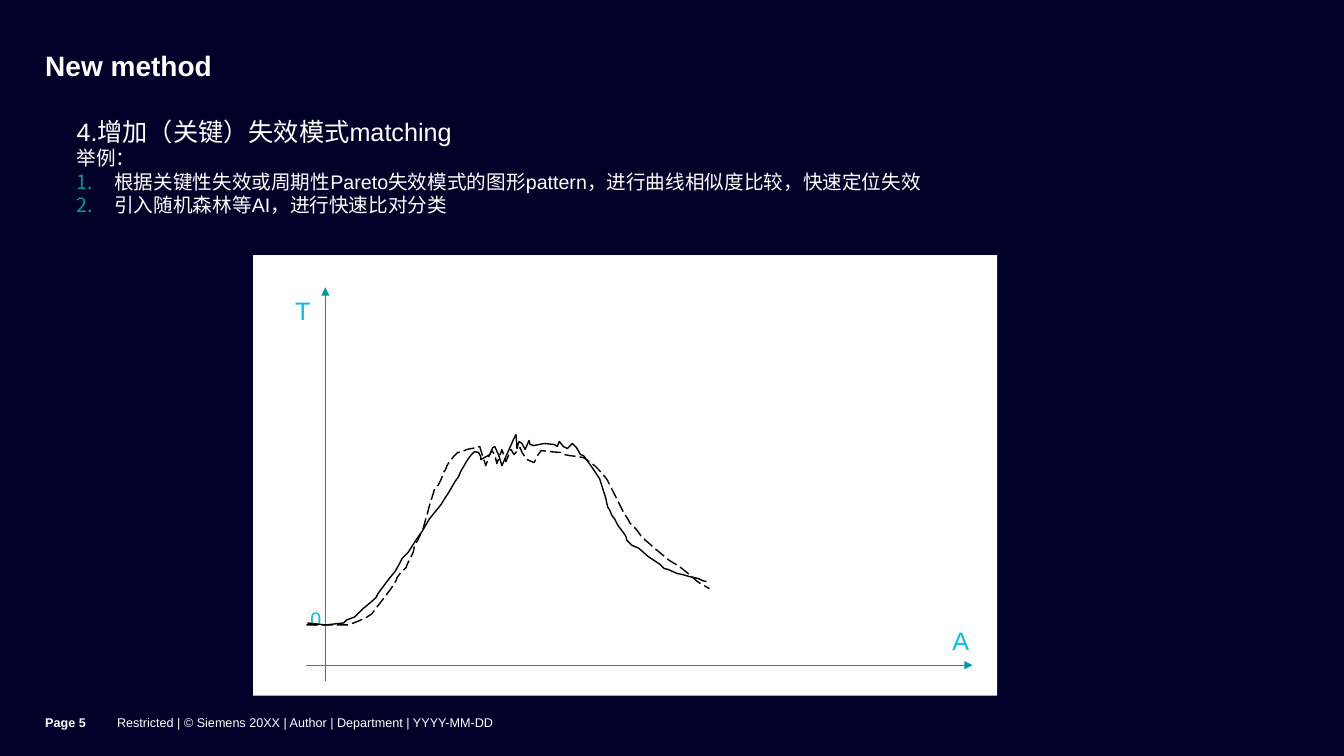
from dataclasses import dataclass

from lxml.etree import SubElement
from pptx import Presentation
from pptx.dml.color import RGBColor as RGB
from pptx.enum.dml import MSO_LINE as Dash
from pptx.enum.shapes import MSO_CONNECTOR as Conn, MSO_SHAPE as Shape
from pptx.enum.text import MSO_ANCHOR as Anchor
from pptx.oxml.ns import qn
from pptx.util import Cm, Pt


@dataclass(frozen=True)
class Theme:
    font: str = "Arial"
    night: str = "000028"
    white: str = "FFFFFF"
    black: str = "000000"
    petrol: str = "009999"
    cyan: str = "00BEDC"
    title: int = 20
    head: int = 18
    body: int = 14
    foot: int = 9
    axis_width: float = 0.75
    curve_width: float = 1


# Curve points in hundredths of an inch
CURVE_UNIT = Cm(0.0254)
MEASURED = [
    (305, 618), (323, 619.5), (341, 618), (344, 615), (347, 614), (352, 612), (360, 604),
    (365, 600), (373, 593), (375, 589), (378, 585), (387, 573), (392, 567),
    (396, 560), (399, 554), (405, 548), (414, 534), (419, 527), (426, 515),
    (430, 510), (435, 504), (438, 500), (441, 495), (445, 489), (452, 477),
    (455, 473), (457, 468), (464, 456), (467, 452), (471, 448), (475, 449),
    (477, 453), (477, 456), (486, 451), (489, 444), (491, 443), (495, 452),
    (498, 462), (510, 435), (512, 431), (513, 445), (515, 438), (518, 440),
    (521, 446), (525, 437), (526, 441), (530, 442), (540, 440), (550, 441),
    (553, 443), (555, 438), (559, 443), (563, 445), (568, 440), (572, 444),
    (576, 451), (579, 452), (587, 463), (595, 475), (601, 494), (603, 503), (605, 506),
    (607, 511), (610, 515), (613, 521), (619, 529), (621, 532), (622, 536),
    (627, 541), (634, 544), (643, 552), (655, 560), (659, 564), (663, 565),
    (672, 569), (677, 570), (684, 572), (693, 574), (697, 576), (701, 577),
]
PATTERN = [
    (304, 620.5), (345, 620), (351, 618), (356, 616), (363, 613), (369, 609), (375, 601),
    (382, 592), (388, 584), (393, 576), (394, 573), (397, 569), (403, 563),
    (404, 560), (410, 548), (411, 543), (416, 533), (418, 528), (420, 524),
    (423, 513), (424, 510), (426, 502), (427, 499), (431, 486), (435, 481),
    (438, 475), (440, 469), (442, 466), (444, 461), (450, 453), (454, 449),
    (459, 448), (463, 446), (473, 444), (476, 443), (479, 453), (482, 462),
    (485, 453), (488, 447), (491, 451), (493, 460), (497, 449), (498, 446), (501, 455),
    (502, 458), (507, 446), (510, 451), (516, 444), (518, 449), (523, 456),
    (530, 459), (532, 455), (534, 451), (537, 447), (544, 448), (557, 449),
    (560, 451), (565, 452), (573, 453), (579, 454), (590, 462), (594, 466),
    (601, 474), (603, 477), (608, 487), (612, 495), (617, 505), (619, 509),
    (623, 515), (625, 519), (632, 526), (637, 533), (645, 540), (648, 543),
    (652, 546), (658, 551), (664, 556), (674, 562), (684, 570), (692, 577),
    (695, 579), (704, 584),
]


class Board:
    """Draws on one slide in one theme; positions and sizes are in centimetres."""

    def __init__(self, slide, theme):
        self.slide, self.theme = slide, theme
        fill = slide.background.fill
        fill.solid()
        fill.fore_color.rgb = RGB.from_string(theme.night)

    def text_box(self, left, top, width, height, right=0, bottom=0, anchor=Anchor.TOP):
        sp = self.slide.shapes.add_textbox(Cm(left), Cm(top), Cm(width), Cm(height))
        tf = sp.text_frame
        tf.word_wrap = True
        tf.vertical_anchor = anchor
        tf.margin_left = tf.margin_top = 0
        tf.margin_right, tf.margin_bottom = Cm(right), Cm(bottom)
        return tf

    def add_text(self, tf, text, size, color=None, bold=False, spacing=None, numbered=False):
        """Fill the empty first paragraph, or add one after the last."""
        p = tf.paragraphs[-1]
        if p.runs:
            p = tf.add_paragraph()
        if spacing:
            p.line_spacing = spacing
        if numbered:
            self.number(p)
        r = p.add_run()
        r.text = text
        r.font.name, r.font.size, r.font.bold = self.theme.font, Pt(size), bold
        r.font.color.rgb = RGB.from_string(color or self.theme.white)

    def number(self, p):
        indent = Cm(0.95)
        pPr = p._p.get_or_add_pPr()
        pPr.set("marL", str(indent))
        pPr.set("indent", str(-indent))
        color = SubElement(pPr, qn("a:buClr"))
        SubElement(color, qn("a:srgbClr"), val=self.theme.petrol)
        SubElement(pPr, qn("a:buAutoNum"), type="arabicPeriod")

    def panel(self, left, top, width, height):
        sp = self.slide.shapes.add_shape(
            Shape.RECTANGLE, Cm(left), Cm(top), Cm(width), Cm(height))
        sp.shadow.inherit = False
        sp.fill.solid()
        sp.fill.fore_color.rgb = RGB.from_string(self.theme.white)
        sp.line.fill.background()

    def axis(self, x1, y1, x2, y2):
        line = self.slide.shapes.add_connector(
            Conn.STRAIGHT, Cm(x1), Cm(y1), Cm(x2), Cm(y2))
        line.line.color.rgb = RGB.from_string(self.theme.petrol)
        line.line.width = Pt(self.theme.axis_width)
        spPr = line._element.spPr
        SubElement(spPr.find(qn("a:ln")), qn("a:tailEnd"), type="triangle")
        SubElement(spPr, qn("a:effectLst"))

    def axis_label(self, text, left, top, width, height, size):
        self.add_text(self.text_box(left, top, width, height), text, size, self.theme.cyan)

    def curve(self, points, dash=None):
        start, *rest = points
        builder = self.slide.shapes.build_freeform(*start, scale=CURVE_UNIT)
        builder.add_line_segments(rest, close=False)
        sp = builder.convert_to_shape()
        sp.shadow.inherit = False
        sp.fill.background()
        sp.line.color.rgb = RGB.from_string(self.theme.black)
        sp.line.width = Pt(self.theme.curve_width)
        if dash:
            sp.line.dash_style = dash


def main():
    prs = Presentation()
    prs.slide_width, prs.slide_height = Cm(33.87), Cm(19.05)
    theme = Theme()
    board = Board(prs.slides.add_slide(prs.slide_layouts[6]), theme)

    title = board.text_box(1.14, 1.32, 27.41, 1.6, right=0.89, bottom=0.05)
    board.add_text(title, "New method", theme.title, bold=True, spacing=0.9)

    for text, left, width, bold in (
        ("Restricted | © Siemens 20XX | Author | Department | YYYY-MM-DD", 2.95, 25.6, False),
        ("Page 5", 1.14, 1.8, True),
    ):
        footer = board.text_box(left, 17.53, width, 1.52, bottom=0.18, anchor=Anchor.MIDDLE)
        board.add_text(footer, text, theme.foot, bold=bold)

    body = board.text_box(1.93, 2.92, 26.14, 3.33)
    board.add_text(body, "4.增加（关键）失效模式matching", theme.head)
    board.add_text(body, "举例：", theme.body)
    for step in (
        "根据关键性失效或周期性Pareto失效模式的图形pattern，进行曲线相似度比较，快速定位失效",
        "引入随机森林等AI，进行快速比对分类",
    ):
        board.add_text(body, step, theme.body, numbered=True)

    board.panel(6.38, 6.43, 18.75, 11.1)
    board.axis(7.72, 16.76, 24.51, 16.76)
    board.axis(8.2, 17.17, 8.2, 7.24)
    board.axis_label("T", 7.44, 7.44, 0.69, 0.91, theme.head)
    board.axis_label("A", 24, 15.77, 0.69, 0.91, theme.head)
    board.axis_label("0", 7.82, 15.29, 0.76, 0.71, theme.body)
    board.curve(MEASURED)
    board.curve(PATTERN, Dash.LONG_DASH)

    prs.save("out.pptx")


if __name__ == "__main__":
    main()
